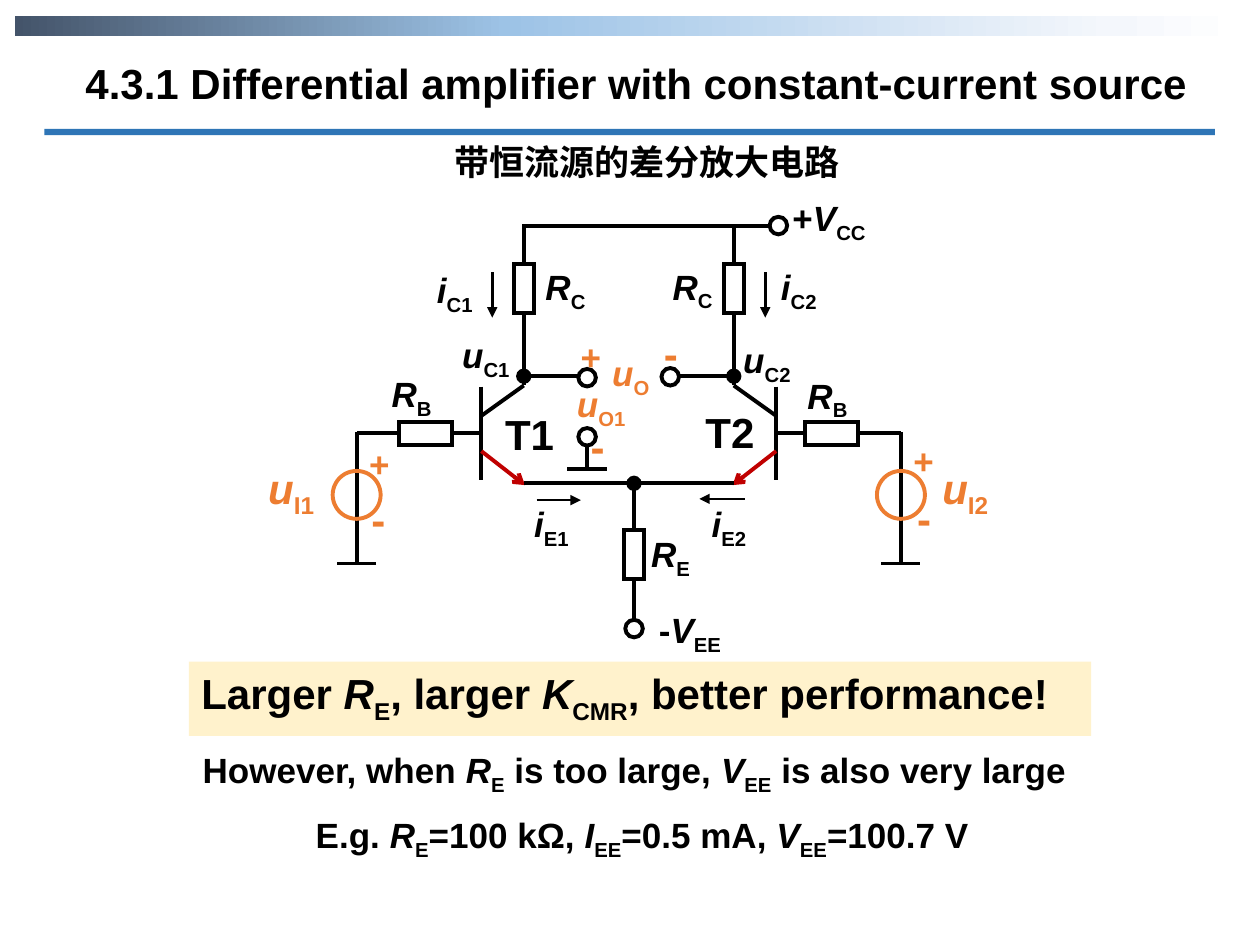
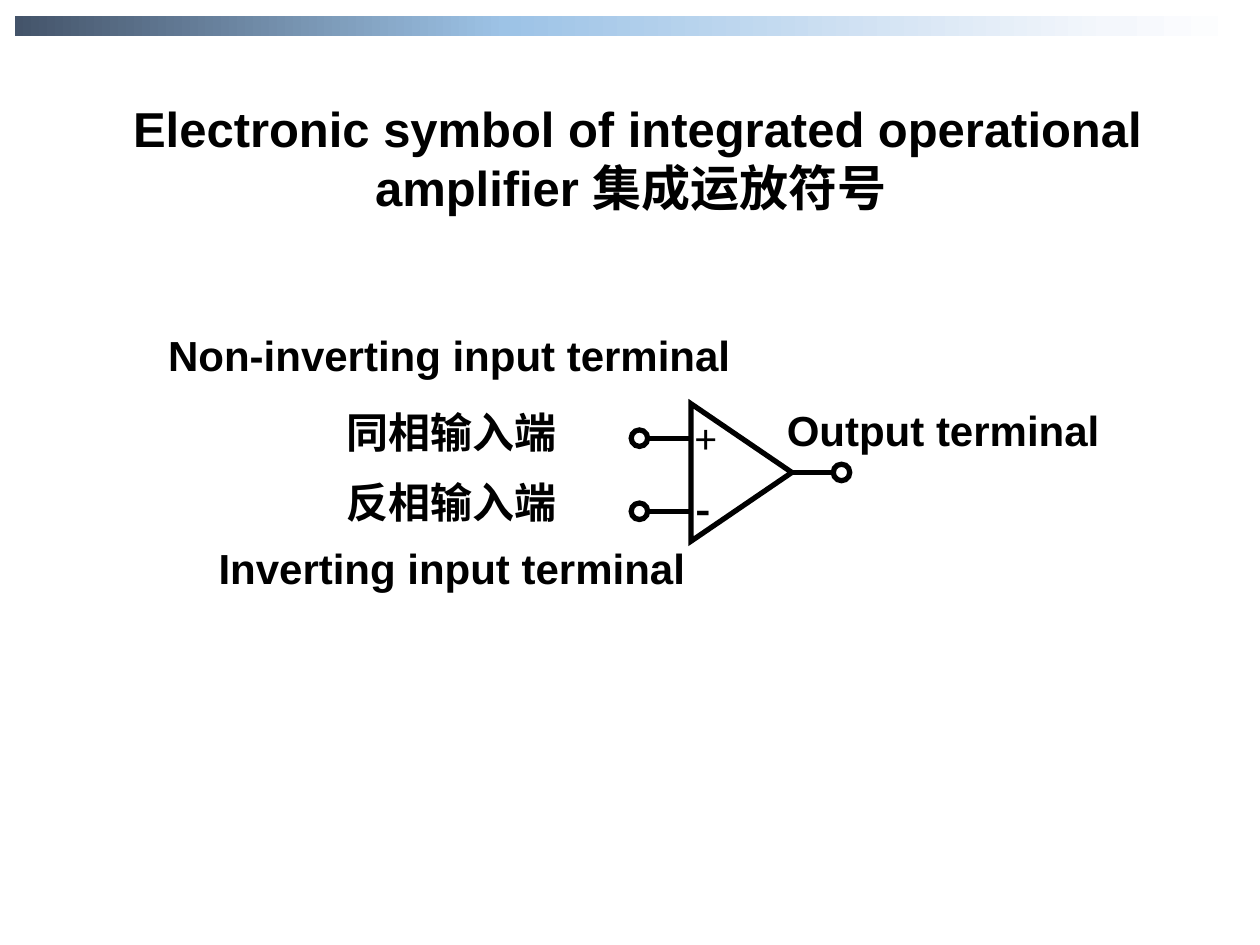
from lxml.etree import SubElement
from pptx import Presentation
from pptx.dml.color import RGBColor
from pptx.enum.shapes import MSO_CONNECTOR, MSO_SHAPE
from pptx.enum.text import MSO_ANCHOR, PP_ALIGN
from pptx.oxml.ns import qn
from pptx.util import Pt

BLACK = RGBColor(0x00, 0x00, 0x00)
WHITE = RGBColor(0xFF, 0xFF, 0xFF)
ORANGE = RGBColor(0xED, 0x7D, 0x31)
RED = RGBColor(0xC0, 0x00, 0x00)
BLUE = RGBColor(0x2E, 0x75, 0xB6)
CREAM = RGBColor(0xFF, 0xF2, 0xCC)
BAND_STOPS = (
    (0, RGBColor(0x44, 0x54, 0x6A)),
    (40, RGBColor(0x9D, 0xC3, 0xE6)),
    (89, RGBColor(0xF4, 0xF7, 0xFC)),
    (100, WHITE),
)
LATIN = "Arial"
CJK = "Noto Sans CJK SC"
RECT, OVAL = MSO_SHAPE.RECTANGLE, MSO_SHAPE.OVAL


def add_shape(s, kind, cx, cy, w, h, fill=None, line=None, weight=2.25):
    sp = s.shapes.add_shape(kind, Pt(cx - w / 2), Pt(cy - h / 2), Pt(w), Pt(h))
    sp.shadow.inherit = False
    if fill is None:
        sp.fill.background()
    else:
        sp.fill.solid()
        sp.fill.fore_color.rgb = fill
    if line is None:
        sp.line.fill.background()
    else:
        sp.line.color.rgb = line
        sp.line.width = Pt(weight)
        SubElement(sp._element.spPr.find(qn("a:ln")), qn("a:miter"), lim="800000")
    return sp


def add_text(s, x, y, w, markup, size=20, color=BLACK, h=None, align=PP_ALIGN.LEFT,
             font=LATIN, bold=True, inset=True):
    """Runs are split at |; a leading * is italic, a leading _ is a subscript."""
    h = h or size * (1.8 if "_" in markup else 1.55)
    sp = s.shapes.add_textbox(Pt(x), Pt(y), Pt(w), Pt(h))
    tf = sp.text_frame
    tf.word_wrap = True
    if not inset:
        tf.margin_left = tf.margin_right = tf.margin_top = tf.margin_bottom = 0
        tf.vertical_anchor = MSO_ANCHOR.MIDDLE
    p = tf.paragraphs[0]
    p.alignment = align
    p.font.size = Pt(size)
    p.font.bold = bold
    p.font.name = font
    p.font.color.rgb = color
    for part in markup.split("|"):
        r = p.add_run()
        r.text = part.lstrip("*_")
        if part[0] == "*":
            r.font.italic = True
        elif part[0] == "_":
            r._r.get_or_add_rPr().set("baseline", "-25000")
        elif part[0] >= "一":
            r.font.name = CJK
            SubElement(r._r.get_or_add_rPr(), qn("a:ea")).set("typeface", CJK)
    return sp


prs = Presentation()
prs.slide_width, prs.slide_height = Pt(720), Pt(540)
circuit, symbol = [prs.slides.add_slide(prs.slide_layouts[6]) for _ in range(2)]

for s in (circuit, symbol):
    band = add_shape(s, RECT, 360, 15.1, 702.7, 11.5, WHITE)
    band.fill.gradient()
    band.fill.gradient_angle = 0
    stops = band._element.spPr.find(".//" + qn("a:gsLst"))
    for gs in list(stops):
        stops.remove(gs)
    for pos, color in BAND_STOPS:
        gs = SubElement(stops, qn("a:gs"), pos=str(pos * 1000))
        SubElement(gs, qn("a:srgbClr"), val=str(color))

AXIS = 359.3
COLLECTOR, BASE, SOURCE = 60, 84.2, 155.5
TAIL_X, O1_X = 362.3, 335.5
TOP_Y, TAP_Y, BASE_Y, EMITTER_Y, GROUND_Y = 128.9, 215, 247.7, 276.2, 322

half_wires = [
    (BASE, 221, BASE, 274.3, BLACK, 2.25, None),
    (BASE, BASE_Y, SOURCE, BASE_Y, BLACK, 2.25, None),
    (BASE, 237.6, COLLECTOR, 220.3, BLACK, 2.25, None),
    (BASE, 257.8, COLLECTOR - 0.7, 277.2, RED, 2.25, "arrow"),
    (COLLECTOR, 220.3, COLLECTOR, 128, BLACK, 2.25, None),
    (COLLECTOR, TAP_Y, 28.5, TAP_Y, BLACK, 2.25, None),
    (SOURCE, GROUND_Y, SOURCE, 247, BLACK, 2.25, None),
    (SOURCE - 11.2, GROUND_Y, SOURCE + 11.2, GROUND_Y, BLACK, 2.25, None),
    (78, 155.5, 78, 181.5, BLACK, 1.5, "triangle"),
]
wires = [
    (circuit, AXIS + side * x1, y1, AXIS + side * x2, y2, *style)
    for side in (-1, 1)
    for x1, y1, x2, y2, *style in half_wires
] + [
    (circuit, AXIS - COLLECTOR, TOP_Y, 443.5, TOP_Y, BLACK, 2.25, None),
    (circuit, AXIS - COLLECTOR, EMITTER_Y, AXIS + COLLECTOR, EMITTER_Y, BLACK, 2.25, None),
    (circuit, TAIL_X, 276, TAIL_X, 360, BLACK, 2.25, None),
    (circuit, O1_X, 268, O1_X, 252.7, BLACK, 2.25, None),
    (circuit, O1_X - 11.2, 268, O1_X + 11.2, 268, BLACK, 2.25, None),
    (circuit, 306.7, 285.8, 331.9, 285.8, BLACK, 1.5, "triangle"),
    (circuit, 425.5, 285.1, 399.6, 285.1, BLACK, 1.5, "triangle"),
    (symbol, 394.6, 250.4, 369.8, 250.4, BLACK, 3, None),
    (symbol, 394.6, 292.2, 369.8, 292.2, BLACK, 3, None),
    (symbol, 452.2, 270, 476.6, 270, BLACK, 3, None),
]
for s, x1, y1, x2, y2, color, weight, tip in wires:
    c = s.shapes.add_connector(MSO_CONNECTOR.STRAIGHT, Pt(x1), Pt(y1), Pt(x2), Pt(y2))
    c.line.color.rgb = color
    c.line.width = Pt(weight)
    if tip:
        SubElement(c._element.spPr.find(qn("a:ln")), qn("a:tailEnd"), type=tip)
    SubElement(c._element.spPr, qn("a:effectLst"))

for side in (-1, 1):
    add_shape(circuit, RECT, AXIS + side * 116, BASE_Y, 30.2, 13, WHITE, BLACK)
    add_shape(circuit, RECT, AXIS + side * COLLECTOR, 164.9, 11.5, 28, WHITE, BLACK)
    add_shape(circuit, OVAL, AXIS + side * SOURCE, 282.8, 27.4, 27.4, None, ORANGE)
add_shape(circuit, RECT, TAIL_X, 316.8, 11.5, 28, WHITE, BLACK)

for x, y in ((AXIS - COLLECTOR, TAP_Y), (AXIS + COLLECTOR, TAP_Y), (TAIL_X, EMITTER_Y)):
    add_shape(circuit, OVAL, x, y, 6.5, 6.5, BLACK, BLACK)
for x, y in ((AXIS - 23.8, 215.8), (AXIS + 23.7, 215.3), (444.8, TOP_Y), (TAIL_X, 359.2),
             (O1_X, 249.6)):
    add_shape(circuit, OVAL, x, y, 10, 10, WHITE, BLACK)

add_text(circuit, 8.6, 29.5, 710, "4.3.1 Differential amplifier with constant-current source",
         24, align=PP_ALIGN.CENTER)
add_shape(circuit, RECT, 359.8, 75.4, 668.9, 3.6, BLUE)
add_text(circuit, 18.7, 77, 702, "带恒流源的差分放大电路", align=PP_ALIGN.CENTER)

labels = [
    (304.6, 148.3, 42, "*R|_C", 20, BLACK),
    (377.3, 148, 44, "*R|_C", 20, BLACK),
    (216.7, 209.5, 46, "*R|_B", 20, BLACK),
    (454.3, 210.2, 46, "*R|_B", 20, BLACK),
    (365, 301, 47, "*R|_E", 20, BLACK),
    (445.7, 108.7, 63, "+|*V|_CC", 20, BLACK),
    (369.4, 344.2, 54, "-|*V|_EE", 20, BLACK),
    (242.6, 149.8, 46, "*i|_C1", 20, BLACK),
    (439.2, 148.3, 42, "*i|_C2", 20, BLACK),
    (298.1, 283.7, 38, "*i|_E1", 20, BLACK),
    (399.6, 283.7, 38, "*i|_E2", 20, BLACK),
    (257, 187.2, 46, "*u|_C1", 20, BLACK),
    (417.6, 190.1, 46, "*u|_C2", 20, BLACK),
    (281.5, 229.7, 46, "T1", 24, BLACK),
    (396, 228.5, 46, "T2", 24, BLACK),
    (146.2, 260.6, 47, "*u|_I1", 24, ORANGE),
    (531.4, 260.6, 47, "*u|_I2", 24, ORANGE),
    (342.7, 197.3, 46, "*u|_O", 20, ORANGE),
    (322.6, 215.3, 46, "*u|_O1", 20, ORANGE),
    (324.7, 187.9, 28, "+", 20, ORANGE),
    (203.8, 249.1, 28, "+", 20, ORANGE),
    (514.8, 247.9, 28, "+", 20, ORANGE),
    (372.3, 183.6, 30, "-", 24, ORANGE),
    (205.2, 278.6, 30, "-", 24, ORANGE),
    (517, 277.9, 30, "-", 24, ORANGE),
    (330.5, 236.9, 30, "-", 24, ORANGE),
]
for label in labels:
    add_text(circuit, *label)

claim = add_text(circuit, 108, 378, 515.5,
                 "Larger |*R|_E|, larger |*K|_CMR|, better performance!", 24, h=42.5)
claim.fill.solid()
claim.fill.fore_color.rgb = CREAM
add_text(circuit, 64.8, 424.1, 595.4,
         "However, when |*R|_E| is too large, |*V|_EE| is also very large",
         align=PP_ALIGN.CENTER)
add_text(circuit, 100.8, 461.5, 537.8,
         "E.g. |*R|_E|=100 kΩ, |*I|_EE|=0.5 mA, |*V|_EE|=100.7 V ",
         align=PP_ALIGN.CENTER)

amp = add_shape(symbol, MSO_SHAPE.ISOSCELES_TRIANGLE, 423.7, 270, 78.5, 57.6, None, BLACK, 3)
amp.rotation = 90
for x, y in ((365.4, 250.4), (365.4, 292.2), (480.9, 270)):
    add_shape(symbol, OVAL, x, y, 9.4, 9.4, None, BLACK, 3)
add_text(symbol, 397.4, 235.4, 12.2, "+", 24, h=28.8, font="Calibri", bold=False, inset=False)
add_text(symbol, 397.4, 276.5, 12.2, "-", 24, h=28.8, font=CJK, inset=False)

for x, y, w, terminal in (
    (96.1, 188.8, 335, "Non-inverting input terminal"),
    (124.9, 310.4, 280, "Inverting input terminal"),
    (449.6, 231.2, 190, "Output terminal"),
):
    add_text(symbol, x, y, w, terminal, 24, h=28.1, inset=False)
add_text(symbol, 190.8, 229, 136.8, "同相输入端", 24)
add_text(symbol, 190.8, 268.6, 136.8, "反相输入端", 24)
add_text(symbol, 14.4, 52.6, 692,
         " Electronic symbol of integrated operational amplifier |集成运放符号",
         28, h=75, align=PP_ALIGN.CENTER)

prs.save("out.pptx")
